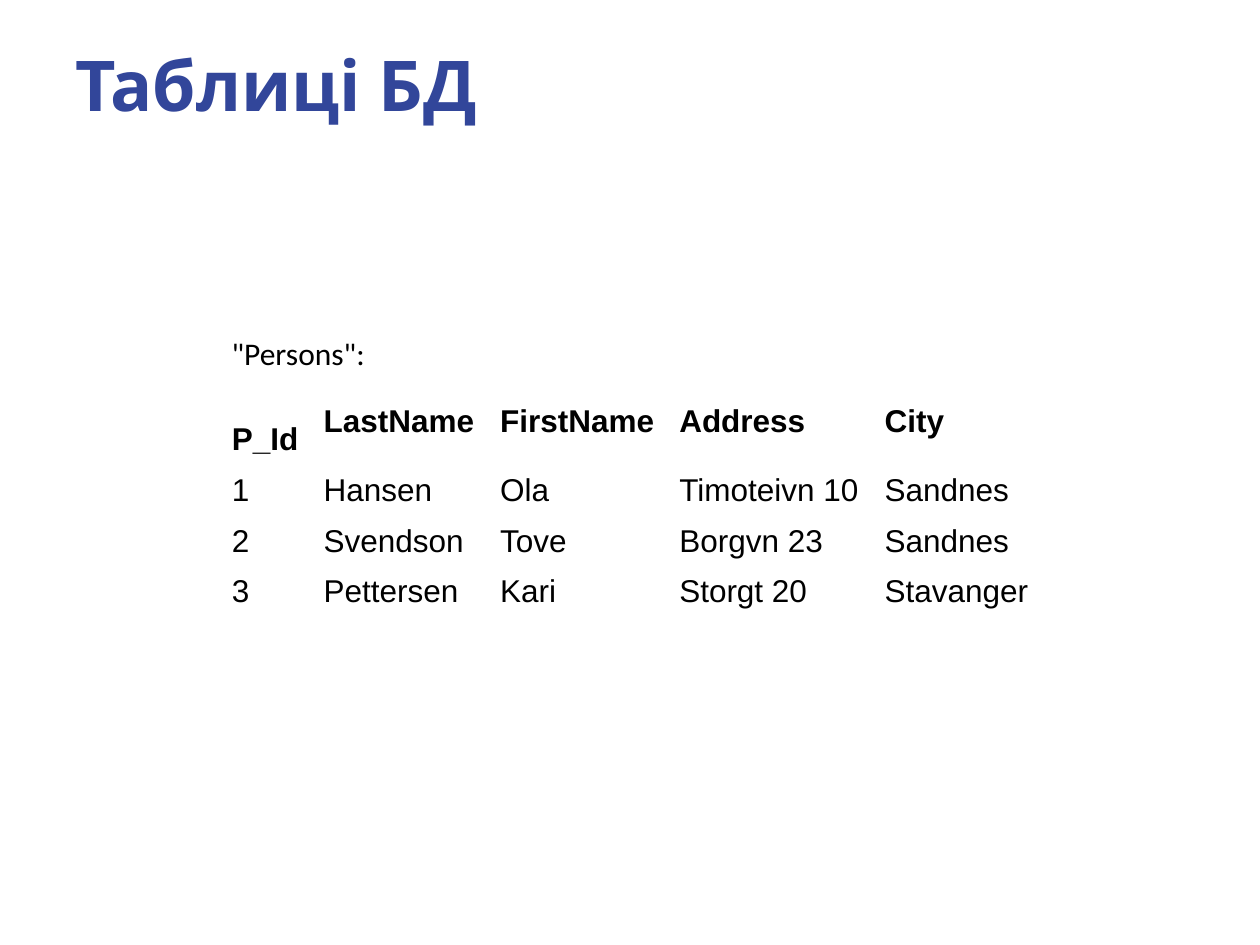
from pptx import Presentation
from pptx.dml.color import RGBColor
from pptx.enum.text import MSO_ANCHOR as Anchor, MSO_AUTO_SIZE as AutoSize, PP_ALIGN as Align
from pptx.util import Cm, Pt

PERSONS = [
    ("P_Id", "LastName", "FirstName", "Address", "City"),
    ("1", "Hansen", "Ola", "Timoteivn 10", "Sandnes"),
    ("2", "Svendson", "Tove", "Borgvn 23", "Sandnes"),
    ("3", "Pettersen", "Kari", "Storgt 20", "Stavanger"),
]
COLUMN_WIDTHS = (1.85, 3.56, 3.61, 4.14, 3.4)
ROW_HEIGHTS = (1.77, 1.02, 1.02, 1.02)


def style(paragraph, font_name, size, color, bold=False):
    paragraph.alignment = Align.LEFT
    font = paragraph.font
    font.name, font.size, font.bold = font_name, Pt(size), bold
    font.color.rgb = RGBColor.from_string(color)


def place_heading(slide, left, top, width, height):
    heading = slide.shapes.title
    heading.left, heading.top = Cm(left), Cm(top)
    heading.width, heading.height = Cm(width), Cm(height)
    frame = heading.text_frame
    frame.text = "Таблиці БД"
    frame.vertical_anchor = Anchor.MIDDLE
    style(frame.paragraphs[0], "Karla", 40, "32469A", bold=True)


def add_caption(slide, left, top, width, height):
    caption = slide.shapes.add_textbox(Cm(left), Cm(top), Cm(width), Cm(height))
    frame = caption.text_frame
    frame.text = '"Persons":'
    frame.word_wrap = False
    frame.auto_size = AutoSize.SHAPE_TO_FIT_TEXT
    frame.vertical_anchor = Anchor.MIDDLE
    style(frame.paragraphs[0], "Calibri", 18, "000000")


def add_persons(slide, left, top):
    table = slide.shapes.add_table(
        len(PERSONS), len(COLUMN_WIDTHS), Cm(left), Cm(top),
        Cm(sum(COLUMN_WIDTHS)), Cm(sum(ROW_HEIGHTS))).table
    table.first_row = table.horz_banding = False
    for column, width in zip(table.columns, COLUMN_WIDTHS):
        column.width = Cm(width)
    for row, height, person in zip(table.rows, ROW_HEIGHTS, PERSONS):
        row.height = Cm(height)
        for cell, value in zip(row.cells, person):
            cell.text = value
            cell.fill.background()
            cell.vertical_anchor = Anchor.MIDDLE
            cell.margin_right = Cm(0.1)
            style(cell.text_frame.paragraphs[0], "Arial", 18, "000000",
                  bold=person is PERSONS[0])
    table.cell(0, 0).margin_top = Cm(0.85)


def main():
    deck = Presentation()
    deck.slide_width, deck.slide_height = Cm(25.4), Cm(19.05)
    slide = deck.slides.add_slide(deck.slide_layouts[5])
    place_heading(slide, 1.27, 0.42, 22.86, 2.54)
    add_caption(slide, 4.42, 6.6, 3.45, 1.02)
    add_persons(slide, 4.42, 7.61)
    deck.save("out.pptx")


if __name__ == "__main__":
    main()
